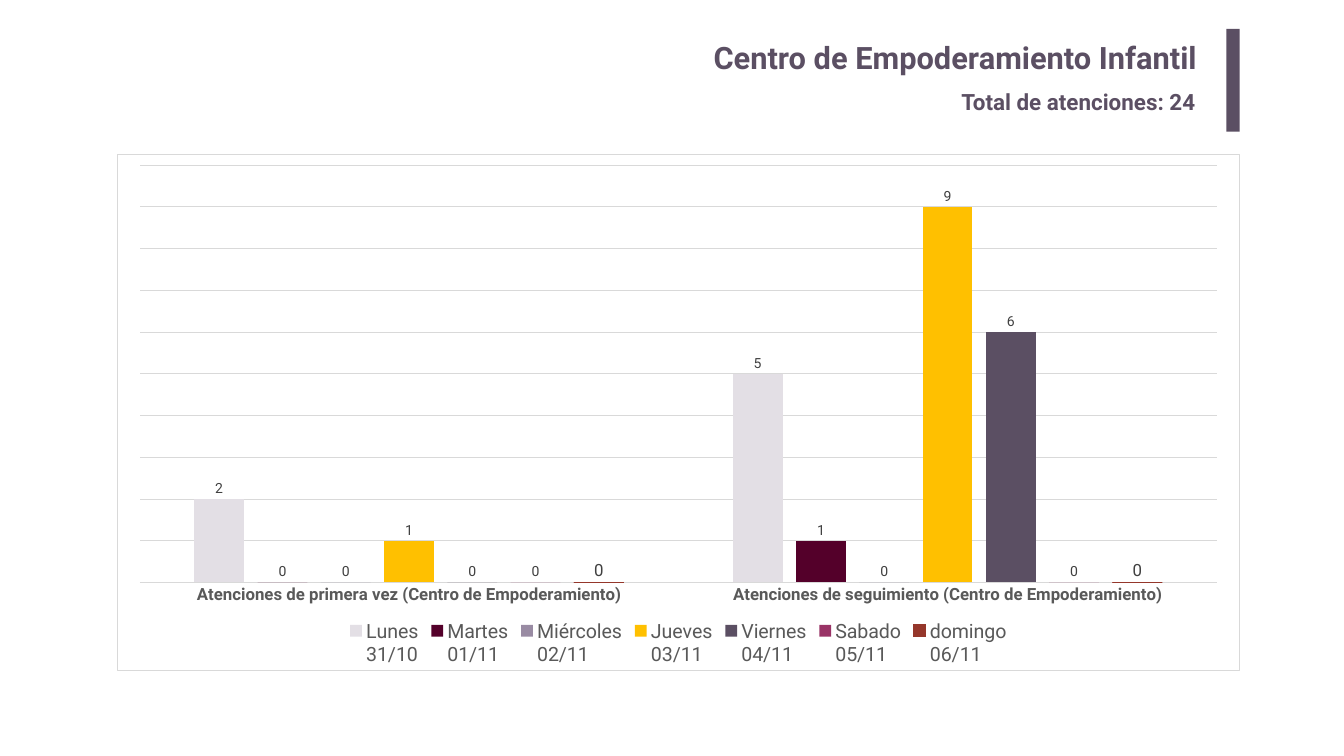
import pptx
import pptx.chart.data
import pptx.dml.color
import pptx.enum.chart
import pptx.enum.shapes
import pptx.enum.text
import pptx.oxml
import pptx.oxml.ns
import pptx.util

PX = 9525
FONT = "Roboto"
PURPLE = "5B4F63"
GRID = "D9D9D9"


def color(value):
    return pptx.dml.color.RGBColor.from_string(value)


def style_font(font, size, value, bold=False):
    font.name = FONT
    font.size = pptx.util.Pt(size)
    font.bold = bold
    font.color.rgb = color(value)


presentation = pptx.Presentation()
presentation.slide_width = 2560 * PX
presentation.slide_height = 1440 * PX
slide = presentation.slides.add_slide(presentation.slide_layouts[5])

title = slide.shapes.title
title.left, title.top, title.width, title.height = [n * PX for n in (351, 64, 1949, 98)]
subtitle = slide.shapes.add_textbox(*[n * PX for n in (1821, 162, 485, 61)])

headings = [
    (title, "Centro de Empoderamiento Infantil", 44, 19, 10, pptx.enum.text.PP_ALIGN.RIGHT),
    (subtitle, "Total de atenciones: 24", 32, 10, 5, pptx.enum.text.PP_ALIGN.LEFT),
]
for shape, text, size, side, edge, alignment in headings:
    frame = shape.text_frame
    frame.word_wrap = True
    frame.auto_size = pptx.enum.text.MSO_AUTO_SIZE.NONE
    frame.vertical_anchor = pptx.enum.text.MSO_ANCHOR.TOP
    frame.margin_left = frame.margin_right = side * PX
    frame.margin_top = frame.margin_bottom = edge * PX
    paragraph = frame.paragraphs[0]
    paragraph.alignment = alignment
    paragraph.space_before = pptx.util.Pt(0)
    run = paragraph.add_run()
    run.text = text
    style_font(run.font, size, PURPLE, True)

accent_bar = slide.shapes.add_shape(
    pptx.enum.shapes.MSO_SHAPE.RECTANGLE, *[n * PX for n in (2336, 55, 25, 196)])
accent_bar.shadow.inherit = False
accent_bar.fill.solid()
accent_bar.fill.fore_color.rgb = color(PURPLE)
accent_bar.line.fill.background()

days = [
    ("Lunes\n31/10", (2, 5), "E3DFE5", 20),
    ("Martes\n01/11", (0, 1), "54002A", 20),
    ("Miércoles\n02/11", (0, 0), "998BA3", 20),
    ("Jueves\n03/11", (1, 9), "FFC000", 20),
    ("Viernes\n04/11", (0, 6), PURPLE, 20),
    ("Sabado\n05/11", (0, 0), "993366", 20),
    ("domingo\n06/11", (0, 0), "95372B", 24),
]
chart_data = pptx.chart.data.CategoryChartData()
chart_data.categories = [
    "Atenciones de primera vez (Centro de Empoderamiento)",
    "Atenciones de seguimiento (Centro de Empoderamiento)",
]
for name, values, fill, label_size in days:
    chart_data.add_series(name, values)

chart = slide.shapes.add_chart(
    pptx.enum.chart.XL_CHART_TYPE.COLUMN_CLUSTERED,
    *[n * PX for n in (223, 294, 2138, 983)], chart_data).chart
style_font(chart.font, 10, "000000")
chart.has_title = False
chart.has_legend = True
chart.legend.position = pptx.enum.chart.XL_LEGEND_POSITION.BOTTOM
chart.legend.include_in_layout = False
style_font(chart.legend.font, 28, "595959")

plot = chart.plots[0]
plot.vary_by_categories = False
plot.gap_width = 219
plot.overlap = -27
for series, (name, values, fill, label_size) in zip(plot.series, days):
    series.format.fill.solid()
    series.format.fill.fore_color.rgb = color(fill)
    labels = series.data_labels
    labels.show_value = True
    labels.position = pptx.enum.chart.XL_LABEL_POSITION.OUTSIDE_END
    style_font(labels.font, label_size, "404040")
series.format.line.color.rgb = color(fill)
series.format.line.width = pptx.util.Pt(0.75)

category_axis = chart.category_axis
category_axis.major_tick_mark = pptx.enum.chart.XL_TICK_MARK.NONE
style_font(category_axis.tick_labels.font, 24, "595959", True)
value_axis = chart.value_axis
value_axis.visible = False
value_axis.minimum_scale = 0
value_axis.maximum_scale = 10
value_axis.major_unit = 1
value_axis.has_major_gridlines = True
for line in (category_axis.format.line, value_axis.major_gridlines.format.line):
    line.color.rgb = color(GRID)
    line.width = pptx.util.Pt(0.75)

namespaces = pptx.oxml.ns.nsdecls("c", "a")
chart_element = chart.element.find(pptx.oxml.ns.qn("c:chart"))
plot_area = chart_element.find(pptx.oxml.ns.qn("c:plotArea"))
for layout in plot_area.findall(pptx.oxml.ns.qn("c:layout")):
    plot_area.remove(layout)
plot_area.insert(0, pptx.oxml.parse_xml(
    f'<c:layout {namespaces}><c:manualLayout><c:layoutTarget val="inner"/>'
    '<c:xMode val="edge"/><c:yMode val="edge"/><c:x val="0.02"/><c:y val="0.02"/>'
    '<c:w val="0.96"/><c:h val="0.81"/></c:manualLayout></c:layout>'))
chart_element.addnext(pptx.oxml.parse_xml(
    f'<c:spPr {namespaces}><a:solidFill><a:srgbClr val="FFFFFF"/></a:solidFill>'
    f'<a:ln w="{PX}"><a:solidFill><a:srgbClr val="{GRID}"/></a:solidFill></a:ln></c:spPr>'))

presentation.save("out.pptx")
